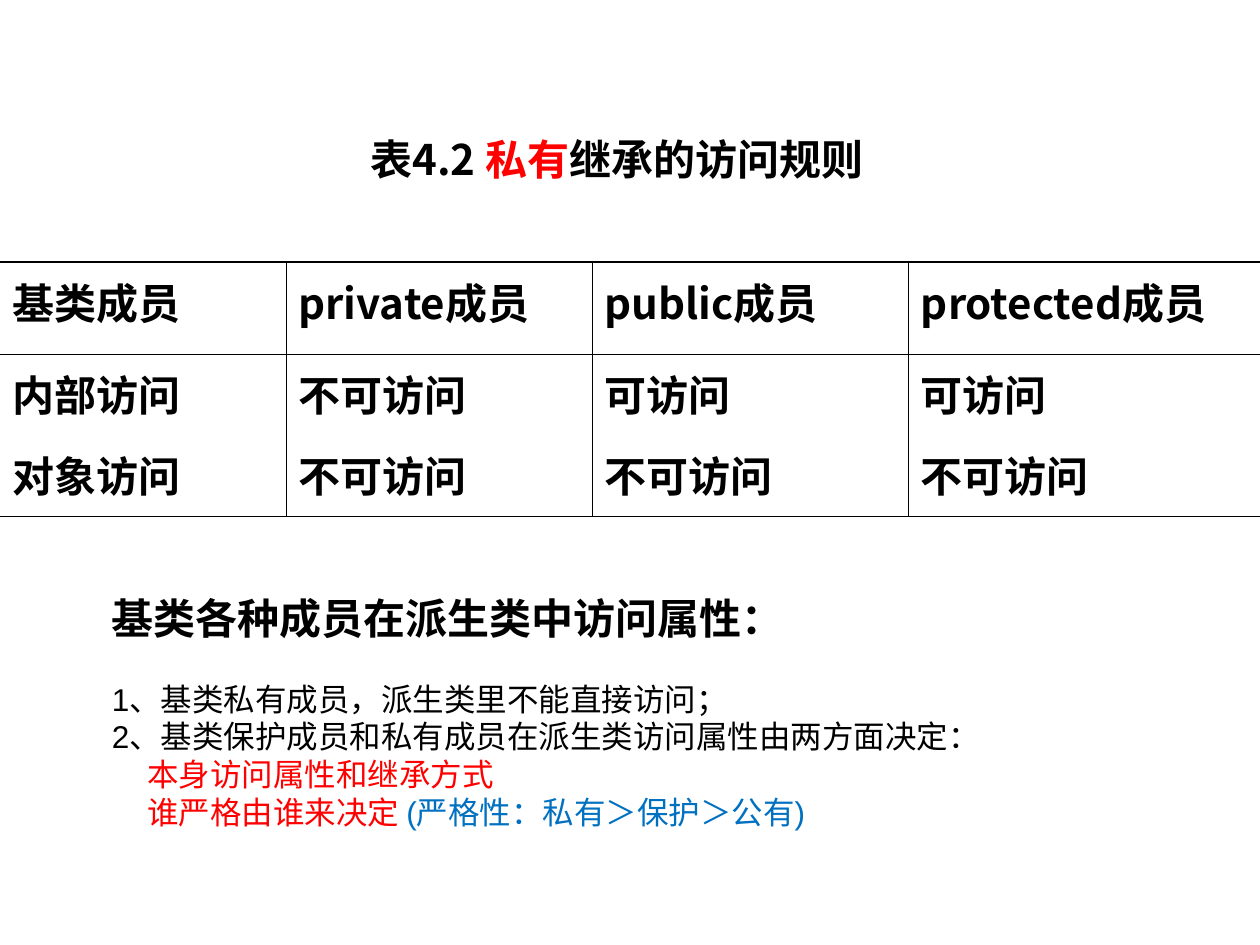
from lxml.etree import SubElement
from pptx import Presentation
from pptx.dml.color import RGBColor
from pptx.enum.text import MSO_ANCHOR, PP_ALIGN
from pptx.oxml import parse_xml
from pptx.oxml.ns import nsdecls, qn
from pptx.util import Inches, Pt

BLACK = RGBColor(0x00, 0x00, 0x00)
RED = RGBColor(0xFF, 0x00, 0x00)
BLUE = RGBColor(0x00, 0x70, 0xC0)
SANS = "Noto Sans CJK SC"
ARIAL = "Arial"


def add_run(paragraph, text, font_name, size, color=BLACK, bold=True):
    run = paragraph.add_run()
    run.text = text
    run.font.size = Pt(size)
    run.font.bold = bold
    run.font.color.rgb = color
    run.font.name = font_name
    SubElement(run.font._element, qn("a:ea"), typeface=SANS)


def set_borders(cell, widths):
    properties = cell._tc.get_or_add_tcPr()
    for index, (side, width) in enumerate(zip("LRTB", widths)):
        fill = (f'<a:solidFill><a:srgbClr val="{BLACK}"/></a:solidFill>'
                if width else "<a:noFill/>")
        line = parse_xml(f'<a:ln{side} {nsdecls("a")} w="{int(Pt(width))}">{fill}</a:ln{side}>')
        properties.insert(index, line)


presentation = Presentation()
presentation.slide_width = Inches(10)
presentation.slide_height = Inches(7.5)
slide = presentation.slides.add_slide(presentation.slide_layouts[1])
title = slide.shapes.title
title._element.getparent().remove(title._element)

caption = slide.placeholders[1]
caption.left, caption.top = Inches(0.17), Inches(0.25)
caption.width, caption.height = Inches(9.45), Inches(6.93)
caption.text_frame.margin_top = Inches(0.81)
caption.text_frame.vertical_anchor = MSO_ANCHOR.TOP
paragraph = caption.text_frame.paragraphs[0]
paragraph.alignment = PP_ALIGN.CENTER
paragraph.space_before = Pt(0)
paragraph_properties = paragraph._p.get_or_add_pPr()
paragraph_properties.set("marL", "0")
paragraph_properties.set("indent", "0")
SubElement(paragraph_properties, qn("a:buNone"))
add_run(paragraph, "表4.2 ", SANS, 24)
add_run(paragraph, "私有", ARIAL, 24, RED)
add_run(paragraph, "继承的", ARIAL, 24)
add_run(paragraph, "访问规则", SANS, 24)

access_rules = [
    ["基类成员", "private成员", "public成员", "protected成员"],
    ["内部访问", "不可访问", "可访问", "可访问"],
    ["对象访问", "不可访问", "不可访问", "不可访问"],
]
column_widths = [2.27, 2.43, 2.51, 2.79]
row_heights = [0.73, 0.64, 0.65]
vertical_rules = [0, 0.45, 0.45, 0.45, 0]
horizontal_rules = [1.08, 0.45, 0, 1.08]

table = slide.shapes.add_table(
    len(row_heights), len(column_widths), Inches(0), Inches(2.08),
    Inches(sum(column_widths)), Inches(sum(row_heights))).table
table.first_row = False
table.horz_banding = False
for column, width in zip(table.columns, column_widths):
    column.width = Inches(width)
for row, height in zip(table.rows, row_heights):
    row.height = Inches(height)
for r, texts in enumerate(access_rules):
    for c, text in enumerate(texts):
        cell = table.cell(r, c)
        cell.fill.background()
        cell.margin_top = Inches(0.07)
        set_borders(cell, vertical_rules[c:c + 2] + horizontal_rules[r:r + 2])
        add_run(cell.text_frame.paragraphs[0], text, SANS, 24)

notes_box = slide.shapes.add_textbox(Inches(0.79), Inches(4.63), Inches(8.42), Inches(2))
text_frame = notes_box.text_frame
text_frame.word_wrap = True
text_frame.margin_top = Inches(0.08)
paragraph = text_frame.paragraphs[0]
paragraph.line_spacing = Pt(28.5)
add_run(paragraph, "基类各种成员在派生类中访问属性：", ARIAL, 24)

rule_lines = [
    (21, 0, [("1、基类私有成员，派生类里不能直接访问；", BLACK)]),
    (0, 0, [("2、基类保护成员和私有成员在派生类访问属性由两方面决定：", BLACK)]),
    (0, 0.28, [("本身访问属性和继承方式", RED)]),
    (0, 0.28, [("谁严格由谁来决定 ", RED), ("(严格性：私有＞保护＞公有)", BLUE)]),
]
for space_before, indent, runs in rule_lines:
    paragraph = text_frame.add_paragraph()
    paragraph.line_spacing = Pt(21.5)
    paragraph.space_before = Pt(space_before)
    paragraph._p.get_or_add_pPr().set("marL", str(Inches(indent)))
    for text, color in runs:
        add_run(paragraph, text, ARIAL, 18, color, bold=False)

presentation.save("out.pptx")
